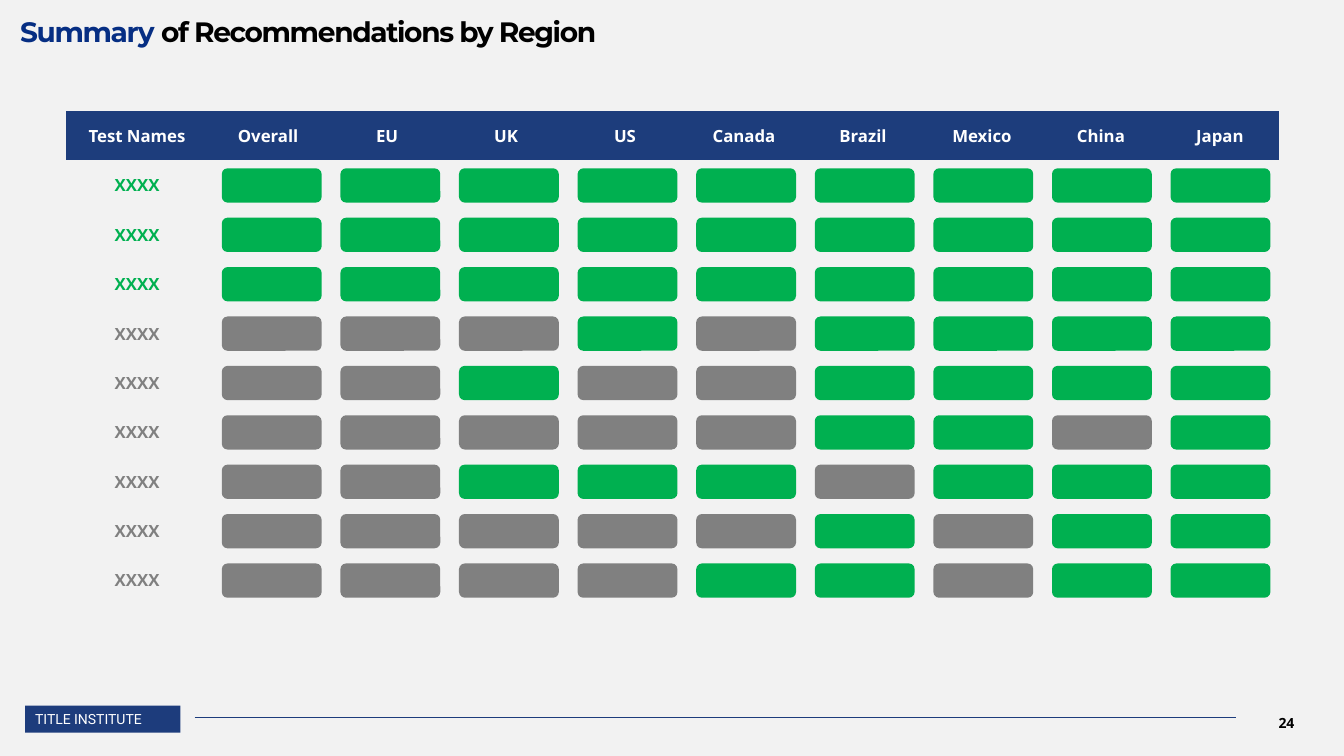
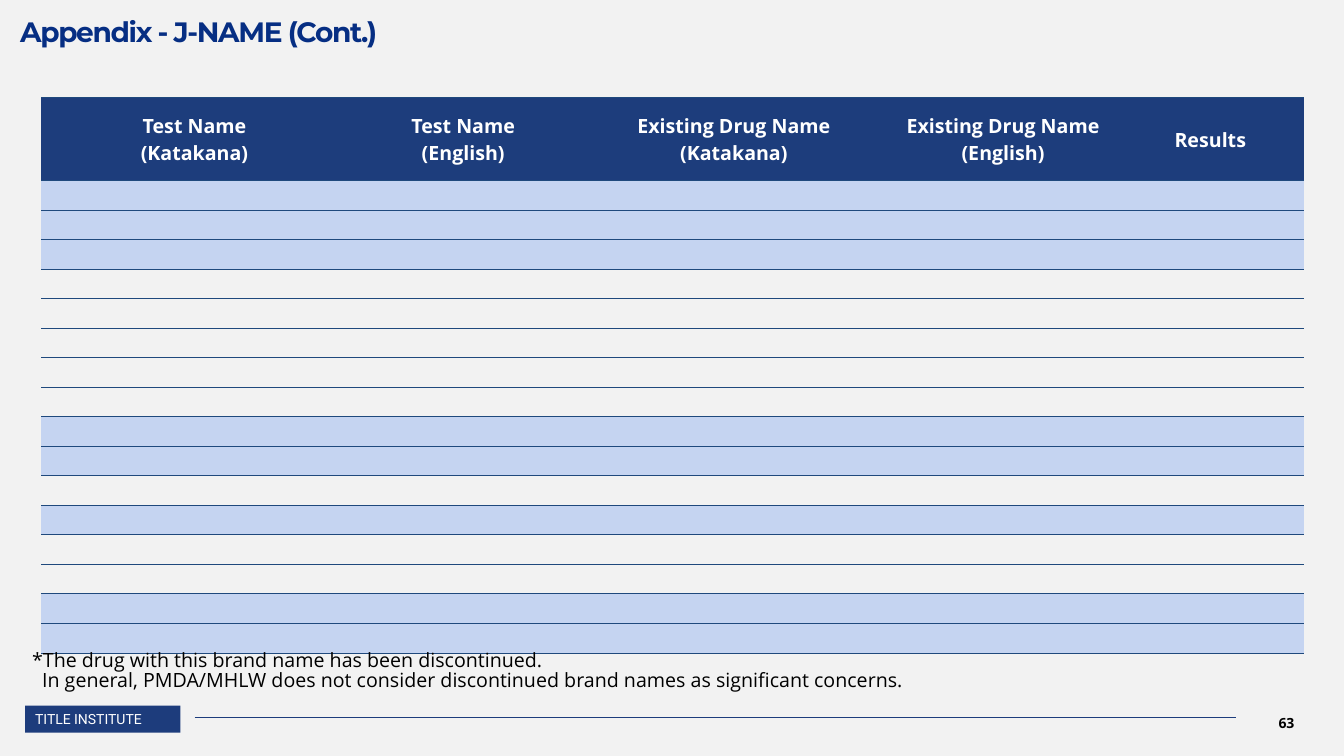
"""Build the regional recommendation summary and the appendix table slides."""
from dataclasses import dataclass

from lxml import etree
from pptx import Presentation
from pptx import util as u
from pptx.dml.color import RGBColor
from pptx.enum import shapes, text
from pptx.oxml.ns import qn
from pptx.util import Inches

COLORS = {
    "background": "F2F2F2",
    "navy": "1D3C7C",
    "header": "1D3D7C",
    "title": "062E83",
    "rule": "1F497D",
    "band": "C5D4F1",
    "green": "00B050",
    "gray": "808080",
    "black": "000000",
    "white": "FFFFFF",
}
PLAIN_TABLE_STYLE = "{2D5ABB26-0587-4C30-8999-92F81FD0307C}"
TITLE_ONLY = 5
REGIONS = ["Overall", "EU", "UK", "US", "Canada", "Brazil", "Mexico", "China", "Japan"]
APPENDIX_HEADERS = [
    "Test Name\n(Katakana)",
    "Test Name\n(English)",
    "Existing Drug Name\n(Katakana)",
    "Existing Drug Name\n(English)",
    "Results",
]
APPENDIX_WIDTHS = [3.04, 2.29, 3.08, 2.26, 1.85]
BANDED_ROWS = {1, 2, 3, 9, 10, 12, 15, 16}


@dataclass
class TextStyle:
    size: float
    color: str
    font: str = "Open Sans"
    bold: bool = False


@dataclass
class TestResult:
    name: str
    color: str
    recommended: str


RESULTS = [
    TestResult("XXXX", "green", "111111111"),
    TestResult("XXXX", "green", "111111111"),
    TestResult("XXXX", "green", "111111111"),
    TestResult("XXXX", "gray", "000101111"),
    TestResult("XXXX", "gray", "001001111"),
    TestResult("XXXX", "gray", "000001101"),
    TestResult("XXXX", "gray", "001110111"),
    TestResult("XXXX", "gray", "000001011"),
    TestResult("XXXX", "gray", "000011011"),
]


def rgb(name: str) -> RGBColor:
    return RGBColor.from_string(COLORS[name])


def style_run(run, style: TextStyle) -> None:
    run.font.name = style.font
    run.font.size = u.Pt(style.size)
    run.font.bold = style.bold
    run.font.color.rgb = rgb(style.color)


def write(frame, content: str, style: TextStyle, align=text.PP_ALIGN.LEFT) -> None:
    frame.text = content
    for paragraph in frame.paragraphs:
        paragraph.alignment = align
        for run in paragraph.runs:
            style_run(run, style)


def add_block(slide, kind, left: float, top: float, width: float, height: float, color: str):
    shape = slide.shapes.add_shape(
        kind, Inches(left), Inches(top), Inches(width), Inches(height))
    shape.shadow.inherit = False
    shape.fill.solid()
    shape.fill.fore_color.rgb = rgb(color)
    shape.line.fill.background()
    return shape


def add_text(slide, left: float, top: float, width: float, height: float):
    box = slide.shapes.add_textbox(
        Inches(left), Inches(top), Inches(width), Inches(height))
    box.text_frame.word_wrap = True
    return box.text_frame


def add_title(slide, parts: list[tuple[str, str]]) -> None:
    title = slide.shapes.title
    title.left, title.top = Inches(0.2), Inches(0)
    title.width, title.height = Inches(12.82), Inches(0.48)
    frame = title.text_frame
    frame.auto_size = text.MSO_AUTO_SIZE.NONE
    frame.vertical_anchor = text.MSO_ANCHOR.TOP
    frame.margin_left = frame.margin_right = frame.margin_bottom = Inches(0)
    frame.margin_top = Inches(0.21)
    paragraph = frame.paragraphs[0]
    paragraph.alignment = text.PP_ALIGN.LEFT
    paragraph.line_spacing = 0.8
    for content, color in parts:
        run = paragraph.add_run()
        run.text = content
        style_run(run, TextStyle(20, color, "Montserrat", True))
        run.font._element.set("spc", "-100")


def add_footer(slide, number: int) -> None:
    label = add_block(slide, shapes.MSO_SHAPE.RECTANGLE, 0.25, 7, 1.54, 0.27, "navy")
    label.text_frame.vertical_anchor = text.MSO_ANCHOR.MIDDLE
    write(label.text_frame, "TITLE INSTITUTE", TextStyle(10, "white", "Roboto"))
    line = slide.shapes.add_connector(
        shapes.MSO_CONNECTOR.STRAIGHT,
        Inches(1.93), Inches(7.12), Inches(12.26), Inches(7.12))
    line.line.color.rgb = rgb("navy")
    line.line.width = u.Pt(0.5)
    etree.SubElement(line._element.spPr, qn("a:effectLst"))
    frame = add_text(slide, 12.21, 6.97, 1.1, 0.4)
    frame.vertical_anchor = text.MSO_ANCHOR.MIDDLE
    write(frame, str(number), TextStyle(10, "black", bold=True), text.PP_ALIGN.CENTER)


def add_slide(presentation, parts: list[tuple[str, str]], number: int):
    slide = presentation.slides.add_slide(presentation.slide_layouts[TITLE_ONLY])
    add_title(slide, parts)
    add_footer(slide, number)
    return slide


def add_table(slide, left: float, top: float, widths: list[float], heights: list[float]):
    frame = slide.shapes.add_table(
        len(heights), len(widths), Inches(left), Inches(top),
        Inches(sum(widths)), Inches(sum(heights)))
    table = frame.table
    table.horz_banding = False
    next(frame._element.iter(qn("a:tableStyleId"))).text = PLAIN_TABLE_STYLE
    for column, width in zip(table.columns, widths):
        column.width = Inches(width)
    for row, height in zip(table.rows, heights):
        row.height = Inches(height)
    return table


def fill_cell(cell, color: str | None) -> None:
    cell.vertical_anchor = text.MSO_ANCHOR.MIDDLE
    cell.margin_left = cell.margin_right = cell.margin_top = Inches(0.01)
    cell.margin_bottom = Inches(0)
    if color:
        cell.fill.solid()
        cell.fill.fore_color.rgb = rgb(color)
    else:
        cell.fill.background()


def write_cell(cell, content: str, size: float, color: str) -> None:
    write(cell.text_frame, content, TextStyle(size, color, bold=True), text.PP_ALIGN.CENTER)


def rule_cell(cell) -> None:
    properties = cell._tc.get_or_add_tcPr()
    for side in ("a:lnT", "a:lnB"):
        border = etree.SubElement(properties, qn(side), w=str(u.Pt(0.5)))
        fill = etree.SubElement(border, qn("a:solidFill"))
        etree.SubElement(fill, qn("a:srgbClr"), val=COLORS["rule"])


def build_summary(presentation) -> None:
    slide = add_slide(
        presentation,
        [("Summary ", "title"), ("of Recommendations by Region", "black")], 24)
    row_height = 0.49
    table = add_table(
        slide, 0.65, 1.1, [1.42] + [1.18] * len(REGIONS),
        [row_height] * (len(RESULTS) + 1))
    for column, name in enumerate(["Test Names"] + REGIONS):
        fill_cell(table.cell(0, column), "header")
        write_cell(table.cell(0, column), name, 12, "white")
    pitch = 9.41 / (len(REGIONS) - 1)
    for row, result in enumerate(RESULTS):
        for column in range(len(REGIONS) + 1):
            fill_cell(table.cell(row + 1, column), None if column else "background")
        write_cell(table.cell(row + 1, 0), result.name, 12, result.color)
        for column, mark in enumerate(result.recommended):
            add_block(
                slide, shapes.MSO_SHAPE.ROUNDED_RECTANGLE,
                2.2 + column * pitch, 1.67 + row * row_height, 0.99, 0.34,
                "green" if mark == "1" else "gray")


def build_appendix(presentation) -> None:
    slide = add_slide(presentation, [("Appendix - J-NAME (Cont.)", "title")], 63)
    body_rows = 16
    table = add_table(
        slide, 0.41, 0.97, APPENDIX_WIDTHS, [0.82] + [4.69 / body_rows] * body_rows)
    for row in range(body_rows + 1):
        for column, header in enumerate(APPENDIX_HEADERS):
            cell = table.cell(row, column)
            rule_cell(cell)
            if row == 0:
                fill_cell(cell, "header")
                write_cell(cell, header, 14, "white")
            else:
                fill_cell(cell, "band" if row in BANDED_ROWS else None)
                paragraph = cell.text_frame.paragraphs[0]
                etree.SubElement(paragraph._p, qn("a:endParaRPr"), sz="1000")
    frame = add_text(slide, 0.22, 6.38, 9.13, 0.57)
    write(
        frame,
        "*The drug with this brand name has been discontinued.\n"
        "In general, PMDA/MHLW does not consider discontinued brand names"
        " as significant concerns.",
        TextStyle(14, "black"))
    explanation = frame.paragraphs[1]
    explanation.line_spacing = 0.86
    explanation._p.get_or_add_pPr().set("marL", str(Inches(0.1)))


def main() -> None:
    presentation = Presentation()
    presentation.slide_width, presentation.slide_height = Inches(13.33), Inches(7.5)
    background = presentation.slide_master.background.fill
    background.solid()
    background.fore_color.rgb = rgb("background")
    build_summary(presentation)
    build_appendix(presentation)
    presentation.save("out.pptx")


if __name__ == "__main__":
    main()
